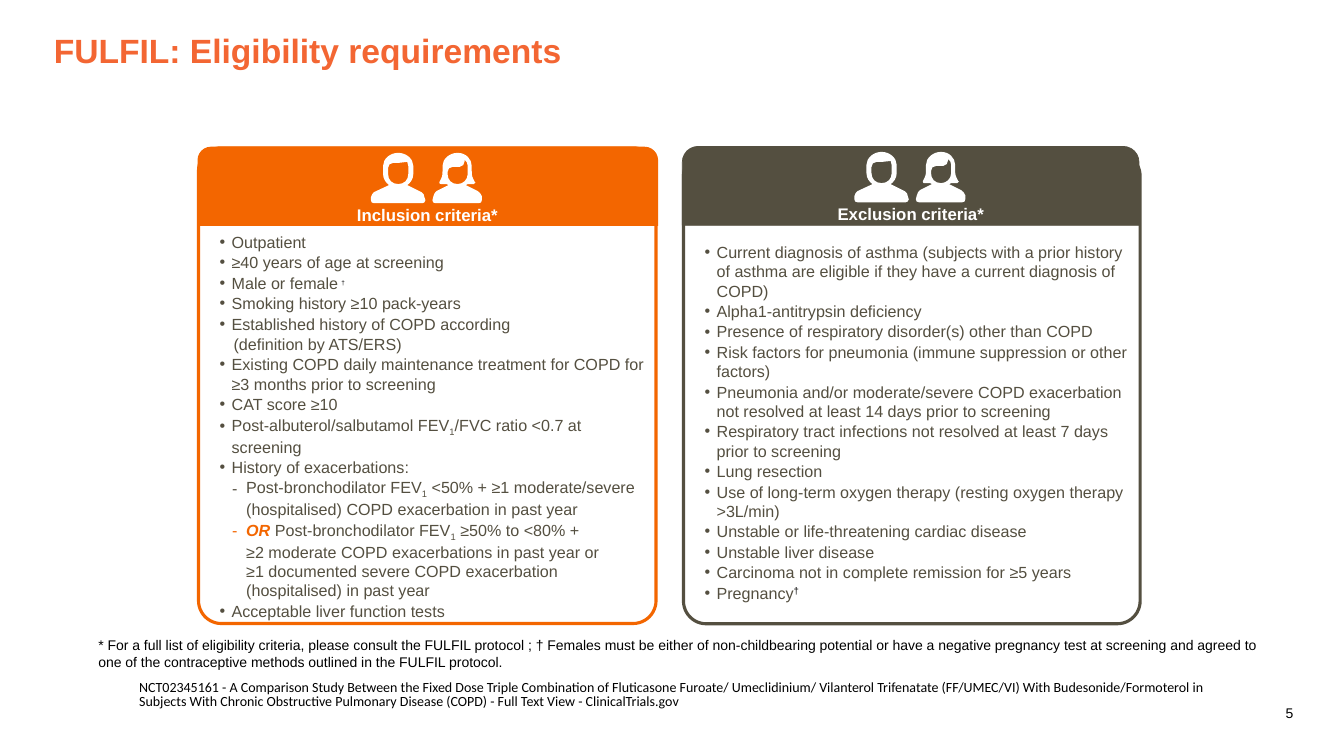
from dataclasses import dataclass
from lxml.etree import SubElement
from pptx import Presentation
from pptx.dml.color import RGBColor
from pptx.enum.shapes import MSO_SHAPE
from pptx.enum.text import MSO_ANCHOR, PP_ALIGN
from pptx.oxml.ns import qn
from pptx.util import Pt


@dataclass(frozen=True)
class Theme:
    title: str = "F36633"
    orange: str = "F36600"
    brown: str = "544F40"
    white: str = "FFFFFF"
    black: str = "000000"
    face: str = "Arial"
    alt: str = "Calibri"
    head: float = 24
    label: float = 12
    body: float = 11.5
    note: float = 10
    mark: float = 8


# Icon outlines in hundredths of an inch: pairs are lines, sixes are curves
MAN = [
    [(53, 44), (53, 42, 52, 40, 50, 39), (36, 32), (39, 30, 42, 26, 42, 21),
     (42, 13), (42, 6, 35, 0, 27, 0), (19, 0, 12, 6, 12, 13), (12, 21),
     (12, 26, 15, 30, 18, 32), (3, 39), (2, 40, 0, 42, 0, 44), (0, 47),
     (0, 49, 1, 50, 3, 50), (51, 50), (52, 50, 54, 49, 54, 47)],
    [(17, 15), (17, 12, 19, 10, 22, 10), (27, 10), (30, 10, 33, 9, 36, 9),
     (36, 10, 37, 12, 37, 13), (37, 21), (37, 27, 33, 31, 27, 31),
     (21, 31, 17, 27, 17, 21)],
]
WOMAN = [
    [(49, 47), (49, 43), (48, 41, 47, 39, 45, 38), (33, 32), (35, 31),
     (41, 31), (42, 31, 42, 31, 42, 30), (43, 30, 43, 29, 42, 29),
     (39, 23, 39, 23, 39, 17), (39, 13), (39, 6, 33, 0, 25, 0),
     (17, 0, 10, 6, 10, 13), (10, 17), (10, 23, 10, 23, 7, 29), (7, 30),
     (7, 31, 8, 31, 9, 31), (14, 31), (16, 32), (4, 38),
     (3, 39, 1, 41, 1, 43), (0, 47), (0, 49, 1, 50, 3, 50), (46, 50),
     (48, 50, 49, 49, 49, 47)],
    [(15, 19), (15, 16, 17, 14, 20, 14), (27, 14), (30, 14, 32, 11, 32, 8),
     (32, 7), (34, 8, 35, 11, 35, 13), (35, 21), (35, 27, 30, 31, 25, 31),
     (19, 31, 15, 27, 15, 21)],
]


class Deck:
    def __init__(self, theme):
        self.theme = theme
        self.file = Presentation()
        self.file.slide_width, self.file.slide_height = Pt(960), Pt(540)
        self.slide = self.file.slides.add_slide(self.file.slide_layouts[5])
        self.shapes = self.slide.shapes

    def font(self, font, size, color, face=None, bold=False):
        font.size, font.name, font.bold = Pt(size), face or self.theme.face, bold
        font.color.rgb = RGBColor.from_string(color)

    def frame(self, box, pad=(7.2, 3.6), anchor=MSO_ANCHOR.TOP):
        frame = box.text_frame
        frame.word_wrap, frame.vertical_anchor = True, anchor
        frame.margin_left = frame.margin_right = Pt(pad[0])
        frame.margin_top = frame.margin_bottom = Pt(pad[1])
        return frame

    def title(self, text, *area):
        box = self.shapes.title
        box.left, box.top, box.width, box.height = map(Pt, area)
        para = self.frame(box, (0, 0), MSO_ANCHOR.BOTTOM).paragraphs[0]
        para.text, para.alignment = text, PP_ALIGN.LEFT
        self.font(para.font, self.theme.head, self.theme.title, bold=True)

    def text(self, text, area, size, color, face=None, bold=False,
             align=PP_ALIGN.LEFT, pad=(7.2, 3.6), anchor=MSO_ANCHOR.TOP, gap=None):
        box = self.shapes.add_textbox(*map(Pt, area))
        para = self.frame(box, pad, anchor).paragraphs[0]
        para.text, para.alignment = text, align
        if gap:
            para.line_spacing = gap
        self.font(para.font, size, color, face, bold)

    def run(self, para, text, kind):
        theme = self.theme
        for i, line in enumerate(text.split("\n")):
            if i:
                para.add_line_break()
            run = para.add_run()
            run.text = line
            size = {"small": theme.mark, "tiny": theme.mark,
                    "sup": theme.label}.get(kind, theme.body)
            color = {"small": theme.black, "tiny": theme.black, "sup": theme.black,
                     "or": theme.orange}.get(kind, theme.brown)
            self.font(run.font, size, color, bold=kind == "or")
            run.font.italic = kind == "or"
            shift = {"tiny": "30000", "sup": "30000", "sub": "-25000"}.get(kind)
            if shift:
                run._r.get_or_add_rPr().set("baseline", shift)

    def list(self, items, *area):
        frame = self.frame(self.shapes.add_textbox(*map(Pt, area)))
        for i, (mark, parts) in enumerate(items):
            para = frame.add_paragraph() if i else frame.paragraphs[0]
            if i:
                para.space_before = Pt(0.8)
            left, hang = {"•": (16.6, -8.6), "-": (27, -10.1), "": (18, 0)}[mark]
            props = para._p.get_or_add_pPr()
            props.set("marL", str(Pt(left)))
            props.set("indent", str(Pt(hang)))
            if mark:
                SubElement(props, qn("a:buFont")).set("typeface", self.theme.face)
                SubElement(props, qn("a:buChar")).set("char", mark)
            if isinstance(parts, str):
                para.text = parts
                self.font(para.font, self.theme.body, self.theme.brown)
            else:
                for text, kind in parts:
                    self.run(para, text, kind)

    def shape(self, kind, area, rounds, fill=None, line=None, width=0):
        shape = self.shapes.add_shape(kind, *map(Pt, area))
        shape.shadow.inherit = False
        for i, value in enumerate(rounds):
            shape.adjustments[i] = value
        self.paint(shape, fill, line, width)

    def paint(self, shape, fill, line=None, width=0):
        for part, color in ((shape.fill, fill), (shape.line.fill, line)):
            if color:
                part.solid()
                part.fore_color.rgb = RGBColor.from_string(color)
            else:
                part.background()
        if line:
            shape.line.width = Pt(width)

    def icon(self, loops, left, top):
        pen = self.shapes.build_freeform(*loops[0][0], scale=Pt(0.72))
        for i, loop in enumerate(loops):
            if i:
                pen.move_to(*loop[0])
            pen.add_line_segments([step[k:k + 2] for step in loop[1:]
                                   for k in range(0, len(step), 2)])
        shape = pen.convert_to_shape(Pt(left), Pt(top))
        # Join each three points of a curve into one curve
        lines = iter(list(shape._element.iter(qn("a:lnTo"))))
        for step in (step for loop in loops for step in loop[1:]):
            first = next(lines)
            if len(step) == 6:
                first.tag = qn("a:cubicBezTo")
                for other in (next(lines), next(lines)):
                    first.append(other[0])
                    other.getparent().remove(other)
        shape.shadow.inherit = False
        self.paint(shape, self.theme.white)

    def panel(self, name, color, head, card, rounds, mid, top, edge=None):
        theme = self.theme
        self.shape(MSO_SHAPE.ROUND_2_SAME_RECTANGLE, head, rounds[0], color, edge, 0.5)
        self.shape(MSO_SHAPE.ROUNDED_RECTANGLE, card, rounds[1], None, color, 2.25)
        self.icon(MAN, mid - 40.3, top)
        self.icon(WOMAN, mid + 3.6, top)
        self.text(name, (mid - 97.9, top + 36.7, 195.8, 15.1), theme.label,
                  theme.white, bold=True, align=PP_ALIGN.CENTER, pad=(0, 0))


FEV = [("Post-bronchodilator FEV", ""), ("1", "sub")]
INCLUDE = [
    ("•", "Outpatient"),
    ("•", "≥40 years of age at screening"),
    ("•", [("Male or female", ""), (" ", "small"), ("†", "tiny")]),
    ("•", "Smoking history ≥10 pack-years"),
    ("•", "Established history of COPD according"),
    ("", "(definition by ATS/ERS)"),
    ("•", "Existing COPD daily maintenance treatment for COPD for ≥3 months prior to screening"),
    ("•", "CAT score ≥10"),
    ("•", [("Post-albuterol/salbutamol FEV", ""), ("1", "sub"),
           ("/FVC ratio <0.7 at screening", "")]),
    ("•", "History of exacerbations:"),
    ("-", FEV + [(" <50% + ≥1 moderate/severe (hospitalised) COPD exacerbation in past year", "")]),
    ("-", [("OR ", "or")] + FEV + [(
        " ≥50% to <80% + \n≥2 moderate COPD exacerbations in past year or \n"
        "≥1 documented severe COPD exacerbation (hospitalised) in past year", "")]),
    ("•", "Acceptable liver function tests"),
]
EXCLUDE = [("•", item) for item in (
    "Current diagnosis of asthma (subjects with a prior history of asthma are "
    "eligible if they have a current diagnosis of COPD)",
    "Alpha1-antitrypsin deficiency",
    "Presence of respiratory disorder(s) other than COPD",
    "Risk factors for pneumonia (immune suppression or other factors)",
    "Pneumonia and/or moderate/severe COPD exacerbation not resolved at least "
    "14 days prior to screening",
    "Respiratory tract infections not resolved at least 7 days prior to screening",
    "Lung resection",
    "Use of long-term oxygen therapy (resting oxygen therapy >3L/min)",
    "Unstable or life-threatening cardiac disease",
    "Unstable liver disease",
    "Carcinoma not in complete remission for ≥5 years",
    [("Pregnancy", ""), ("†", "sup")],
)]


def main():
    theme = Theme()
    deck = Deck(theme)
    deck.title("FULFIL: Eligibility requirements", 38.4, 23.4, 795.6, 26.6)

    # Criteria lists and their panels
    deck.list(INCLUDE, 141.8, 162.3, 326.9, 283)
    deck.list(EXCLUDE, 488.2, 169.5, 326.9, 284.4)
    deck.panel("Inclusion criteria*", theme.orange, (141.1, 104.8, 329, 56.5),
               (141.8, 105.6, 326.8, 339.8), ((0.17, 0), (0.05,)), 305.3, 109.2)
    deck.panel("Exclusion criteria*", theme.brown, (487.4, 104.6, 326.2, 56.4),
               (488.2, 109.4, 326.2, 336.2), ((0.2, 0), (0.05,)), 650.6, 108.5, theme.brown)

    # Footnote, source and page number
    foot = dict(size=theme.note, color=theme.black, pad=(14.4, 14.4), anchor=MSO_ANCHOR.BOTTOM)
    deck.text("* For a full list of eligibility criteria, please consult the FULFIL protocol ; "
              "† Females must be either of non-childbearing potential or have a negative "
              "pregnancy test at screening and agreed to one of the contraceptive methods "
              "outlined in the FULFIL protocol.", (55.8, 438, 864, 52.6), **foot)
    deck.text("NCT02345161 - A Comparison Study Between the Fixed Dose Triple Combination of "
              "Fluticasone Furoate/ Umeclidinium/ Vilanterol Trifenatate (FF/UMEC/VI) With "
              "Budesonide/Formoterol in Subjects With Chronic Obstructive Pulmonary Disease "
              "(COPD) - Full Text View - ClinicalTrials.gov",
              (85, 467.8, 810.7, 49), face=theme.alt, gap=0.85, **foot)
    deck.text("5", (888.5, 499.7, 42.5, 21.6), theme.note, theme.black, align=PP_ALIGN.RIGHT)
    deck.file.save("out.pptx")


if __name__ == "__main__":
    main()
